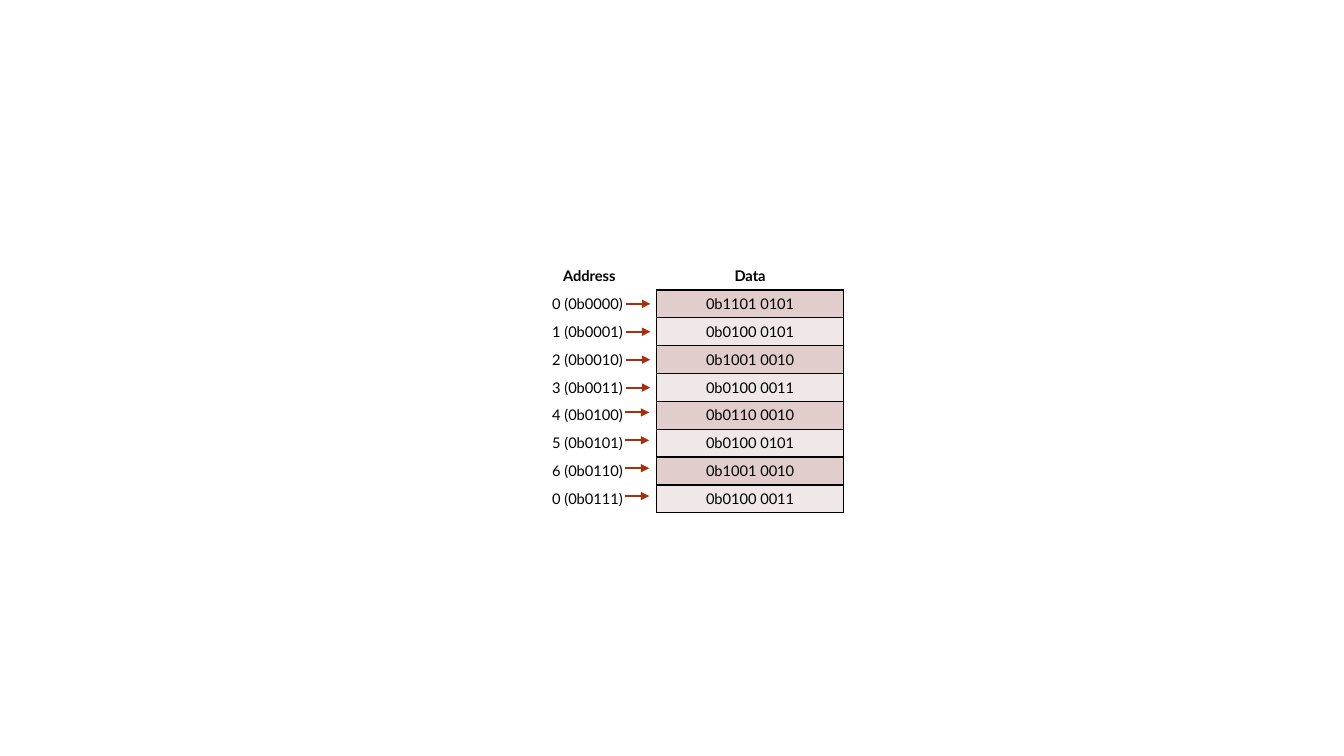
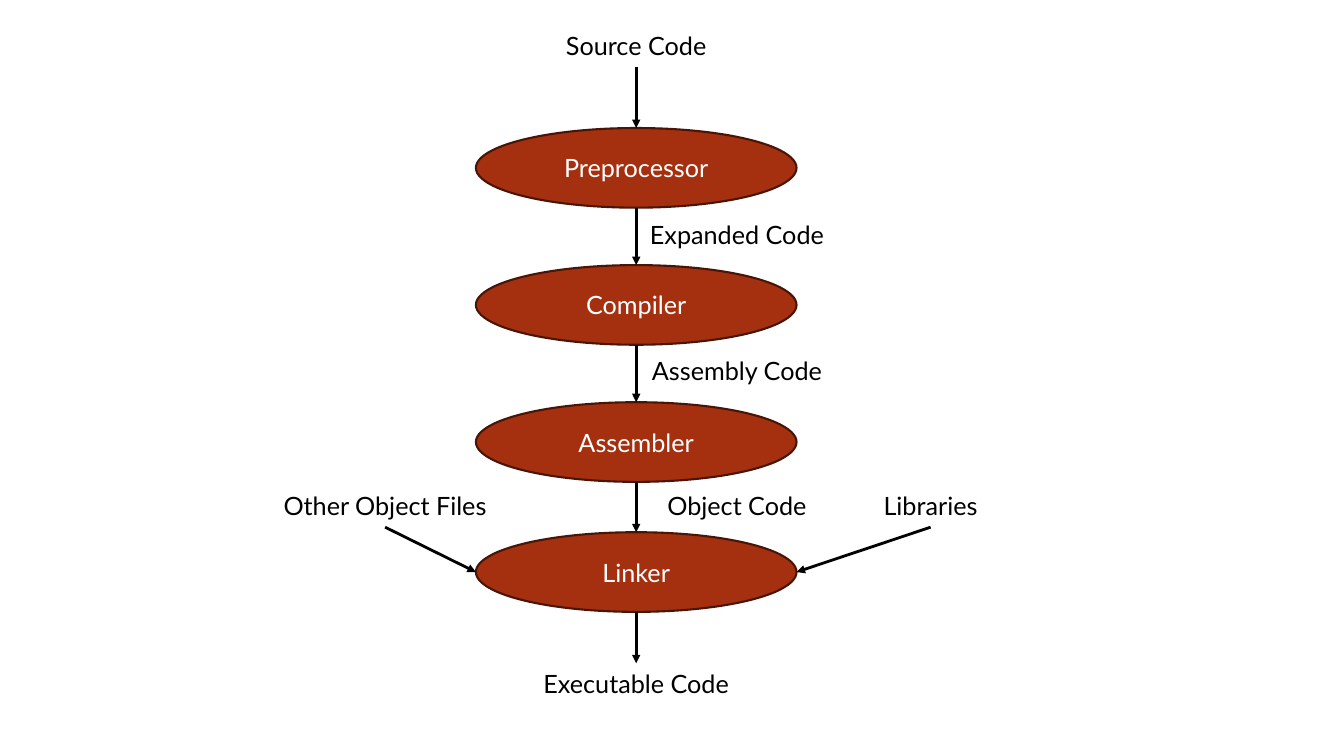
import pptx
import pptx.util
import pptx.dml.color
import pptx.enum.shapes
import pptx.enum.text
import pptx.oxml
import pptx.oxml.ns
from pptx.util import Inches

BLACK, WHITE = "000000", "FFFFFF"
RUST, DARK_RUST = "A5300F", "481507"
ROW_FILLS = ("E1CDCC", "F0E8E7")
FONT = "Lato"

MEMORY = [
    ("0 (0b0000) ", "0b1101 0101"),
    ("1 (0b0001) ", "0b0100 0101"),
    ("2 (0b0010) ", "0b1001 0010"),
    ("3 (0b0011) ", "0b0100 0011"),
    ("4 (0b0100) ", "0b0110 0010"),
    ("5 (0b0101) ", "0b0100 0101"),
    ("6 (0b0110) ", "0b1001 0010"),
    ("0 (0b0111) ", "0b0100 0011"),
]


def rgb(value):
    return pptx.dml.color.RGBColor.from_string(value)


def write(frame, text, size=18, color=BLACK, bold=False):
    para = frame.paragraphs[0]
    para.alignment = pptx.enum.text.PP_ALIGN.CENTER
    span = para.add_run()
    span.text = text
    span.font.name = FONT
    span.font.size = pptx.util.Pt(size)
    span.font.bold = bold
    span.font.color.rgb = rgb(color)


def border_cell(cell, **edges):
    properties = cell._tc.get_or_add_tcPr()
    for side in "LRTB":
        if side in edges:
            color, width = edges[side]
            properties.append(pptx.oxml.parse_xml(
                f'<a:ln{side} {pptx.oxml.ns.nsdecls("a")} w="{pptx.util.Pt(width)}">'
                f'<a:solidFill><a:srgbClr val="{color}"/></a:solidFill></a:ln{side}>'))


class Diagram:
    def __init__(self):
        self.deck = pptx.Presentation()
        self.deck.slide_width = Inches(13.33)
        self.deck.slide_height = Inches(7.5)
        self.page = None

    def add_page(self):
        self.page = self.deck.slides.add_slide(self.deck.slide_layouts[6])

    def arrow(self, start, end, color=BLACK, width=2):
        line = self.page.shapes.add_connector(
            pptx.enum.shapes.MSO_CONNECTOR.STRAIGHT,
            *(Inches(value) for value in (*start, *end)))
        line.line.color.rgb = rgb(color)
        line.line.width = pptx.util.Pt(width)
        namespace = pptx.oxml.ns.nsdecls("a")
        line.line._get_or_add_ln().append(
            pptx.oxml.parse_xml(f'<a:tailEnd {namespace} type="triangle"/>'))
        line._element.spPr.append(pptx.oxml.parse_xml(f"<a:effectLst {namespace}/>"))

    def label(self, text, center, top, width=2.23):
        box = self.page.shapes.add_textbox(
            Inches(center - width / 2), Inches(top), Inches(width), Inches(0.4))
        box.text_frame.word_wrap = True
        box.text_frame.auto_size = pptx.enum.text.MSO_AUTO_SIZE.SHAPE_TO_FIT_TEXT
        write(box.text_frame, text)

    def stage(self, text, left, top, width, height):
        oval = self.page.shapes.add_shape(
            pptx.enum.shapes.MSO_SHAPE.OVAL,
            Inches(left), Inches(top), Inches(width), Inches(height))
        oval.shadow.inherit = False
        oval.fill.solid()
        oval.fill.fore_color.rgb = rgb(RUST)
        oval.line.color.rgb = rgb(DARK_RUST)
        oval.line.width = pptx.util.Pt(1.5)
        oval.text_frame.vertical_anchor = pptx.enum.text.MSO_ANCHOR.MIDDLE
        write(oval.text_frame, text, color=WHITE)

    def cell(self, cell, text, fill, edges, bold=False):
        border_cell(cell, **edges)
        cell.fill.solid()
        cell.fill.fore_color.rgb = rgb(fill)
        write(cell.text_frame, text, size=10.5, bold=bold)

    def memory_table(self, left, top, widths, row_height):
        table = self.page.shapes.add_table(
            len(MEMORY) + 1, 2, Inches(left), Inches(top), Inches(sum(widths)),
            Inches(row_height * (len(MEMORY) + 1))).table
        table.first_row = table.horz_banding = False
        for column, width in zip(table.columns, widths):
            column.width = Inches(width)
        white, black = (WHITE, 1), (BLACK, 1)
        self.cell(table.cell(0, 0), "Address", WHITE,
                  dict(L=white, R=white, T=white, B=(WHITE, 3)), bold=True)
        self.cell(table.cell(0, 1), "Data", WHITE,
                  dict(L=white, R=white, T=white, B=black), bold=True)
        for row, (address, data) in enumerate(MEMORY, 1):
            self.cell(table.cell(row, 0), address, WHITE,
                      dict(L=white, R=black, T=white, B=white))
            self.cell(table.cell(row, 1), data, ROW_FILLS[(row - 1) % 2],
                      dict.fromkeys("LRTB", black))


def build_memory(diagram):
    diagram.add_page()
    top, row_height = 2.6, 2.49 / 9
    diagram.memory_table(5.18, top, (1.33, 1.86), row_height)
    for row in range(1, len(MEMORY) + 1):
        left, lift = (6.21, 0) if row <= 4 else (6.2, 0.03)
        middle = top + (row + 0.5) * row_height - lift
        diagram.arrow((left, middle), (left + 0.24, middle), RUST, 1.5)


def build_toolchain(diagram):
    diagram.add_page()
    left, width, height = 4.72, 3.18, 0.79
    center = left + width / 2
    stages = {"Preprocessor": 1.27, "Compiler": 2.63, "Assembler": 3.99, "Linker": 5.28}
    tops = list(stages.values())
    for name, top in stages.items():
        diagram.stage(name, left, top, width, height)
    starts = [0.66] + [top + height for top in tops]
    for start, end in zip(starts, tops + [6.58]):
        diagram.arrow((center, start), (center, end))

    inputs_top = 4.82
    diagram.label("Source Code", center, 0.25)
    diagram.label("Executable Code", center, 6.58)
    diagram.label("Expanded Code", 7.31, 2.13)
    diagram.label("Assembly Code", 7.31, 3.48)
    diagram.label("Object Code", 7.31, inputs_top)
    linker_middle = tops[-1] + height / 2
    for name, middle, edge in (("Other Object Files", 3.82, left),
                               ("Libraries", 9.23, left + width)):
        diagram.label(name, middle, inputs_top)
        diagram.arrow((middle, 5.23), (edge, linker_middle))


def main():
    diagram = Diagram()
    build_memory(diagram)
    build_toolchain(diagram)
    diagram.deck.save("out.pptx")


if __name__ == "__main__":
    main()
